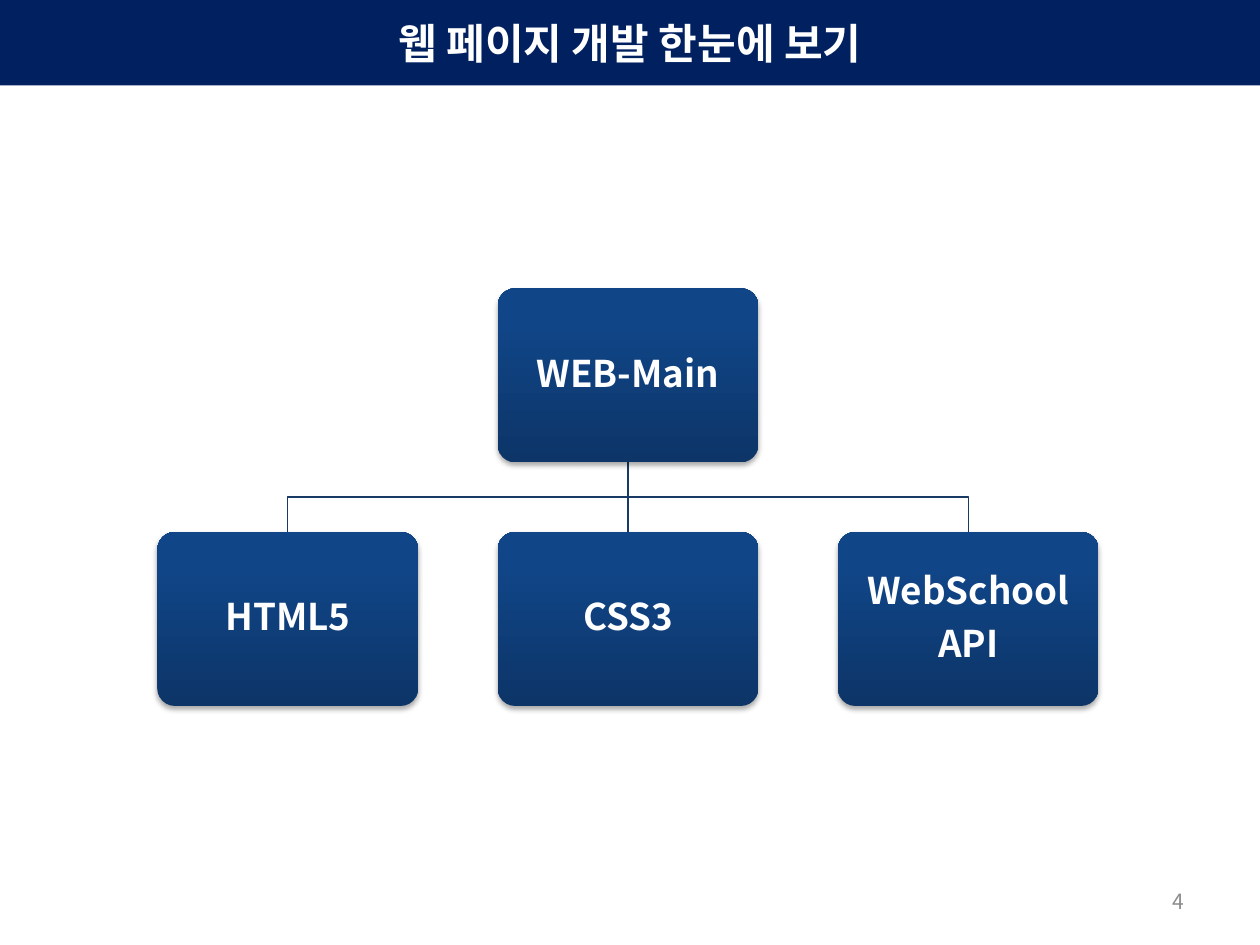
import copy
from lxml import etree
from pptx import Presentation
from pptx import util as u
from pptx.dml.color import RGBColor
from pptx.enum import shapes, text
from pptx.oxml import ns

TITLE = "웹 페이지 개발 한눈에 보기"
ROOT = ["WEB-Main"]
TOPICS = [["HTML5"], ["CSS3"], ["WebSchool", "API"]]
PAGE_NUMBER = "4"

FONT = "Noto Sans CJK KR"
NAVY, WHITE, GREY, BRANCH = "002060", "FFFFFF", "8C8C8C", "193A64"
GRADIENT = [(0, "0D3568"), (0.8, "104587"), (1, "0E458A")]

BOX_W, BOX_H = 149, 99.4
LEFT, PITCH = 90, 194.4
ROOT_TOP, TOPIC_TOP = 164.8, 304


def color(hex_code):
    return RGBColor.from_string(hex_code)


def write(frame, lines, size, hex_code, align, bold=False, inset=None):
    frame.word_wrap = True
    frame.vertical_anchor = text.MSO_ANCHOR.MIDDLE
    if inset is not None:
        frame.margin_left = frame.margin_right = u.Pt(inset)
        frame.margin_top = frame.margin_bottom = u.Pt(inset)
    for index, line in enumerate(lines):
        paragraph = frame.add_paragraph() if index else frame.paragraphs[0]
        paragraph.alignment = align
        run = paragraph.add_run()
        run.text = line
        font = run.font
        font.size, font.bold, font.name = u.Pt(size), bold, FONT
        font.color.rgb = color(hex_code)
        east_asian = etree.SubElement(run._r.get_or_add_rPr(), ns.qn("a:ea"))
        east_asian.set("typeface", FONT)


def paint_gradient(fill):
    fill.gradient()
    fill.gradient_angle = 90
    stop_list = fill._xPr.find(".//" + ns.qn("a:gsLst"))
    stop_list.append(copy.deepcopy(stop_list[0]))
    for stop, (position, hex_code) in zip(fill.gradient_stops, GRADIENT):
        stop.position = position
        stop.color.rgb = color(hex_code)


def add_shadow(shape):
    shape.shadow.inherit = False
    effects = shape._element.spPr.find(ns.qn("a:effectLst"))
    shadow = etree.SubElement(
        effects, ns.qn("a:outerShdw"), blurRad=str(u.Pt(3.1)),
        dist=str(u.Pt(1.8)), dir="5400000", rotWithShape="0")
    black = etree.SubElement(shadow, ns.qn("a:srgbClr"), val="000000")
    etree.SubElement(black, ns.qn("a:alpha"), val="35000")


def add_box(slide, lines, left, top):
    box = slide.shapes.add_shape(
        shapes.MSO_SHAPE.ROUNDED_RECTANGLE,
        u.Pt(left), u.Pt(top), u.Pt(BOX_W), u.Pt(BOX_H))
    box.adjustments[0] = 0.1
    paint_gradient(box.fill)
    box.line.fill.background()
    add_shadow(box)
    write(box.text_frame, lines, 21, WHITE, text.PP_ALIGN.CENTER, True, 6.5)
    for paragraph in box.text_frame.paragraphs:
        paragraph.line_spacing = 0.9
        paragraph.space_after = u.Pt(7.35)


def add_branch(slide, start_x, end_x):
    start_y = ROOT_TOP + BOX_H
    middle_y = (start_y + TOPIC_TOP) / 2
    builder = slide.shapes.build_freeform(u.Pt(start_x), u.Pt(start_y))
    bends = [(start_x, middle_y), (end_x, middle_y)] if start_x != end_x else []
    points = bends + [(end_x, TOPIC_TOP)]
    builder.add_line_segments([(u.Pt(x), u.Pt(y)) for x, y in points], close=False)
    branch = builder.convert_to_shape()
    branch.fill.background()
    branch.line.color.rgb = color(BRANCH)
    branch.line.width = u.Pt(0.75)
    branch.shadow.inherit = False


def main():
    deck = Presentation()
    deck.slide_width, deck.slide_height = u.Pt(720), u.Pt(540)
    slide = deck.slides.add_slide(deck.slide_layouts[5])

    title = slide.shapes.title
    title.left, title.top = u.Pt(0), u.Pt(0)
    title.width, title.height = u.Pt(720), u.Pt(48.8)
    title.fill.solid()
    title.fill.fore_color.rgb = color(NAVY)
    write(title.text_frame, [TITLE], 24, WHITE, text.PP_ALIGN.CENTER, True)

    lefts = [LEFT + PITCH * column for column in range(len(TOPICS))]
    root_left = (lefts[0] + lefts[-1]) / 2
    for left in lefts:
        add_branch(slide, root_left + BOX_W / 2, left + BOX_W / 2)
    add_box(slide, ROOT, root_left, ROOT_TOP)
    for topic, left in zip(TOPICS, lefts):
        add_box(slide, topic, left, TOPIC_TOP)

    page = slide.shapes.add_textbox(u.Pt(516), u.Pt(500.5), u.Pt(168), u.Pt(28.8))
    write(page.text_frame, [PAGE_NUMBER], 12, GREY, text.PP_ALIGN.RIGHT)
    deck.save("out.pptx")


if __name__ == "__main__":
    main()
